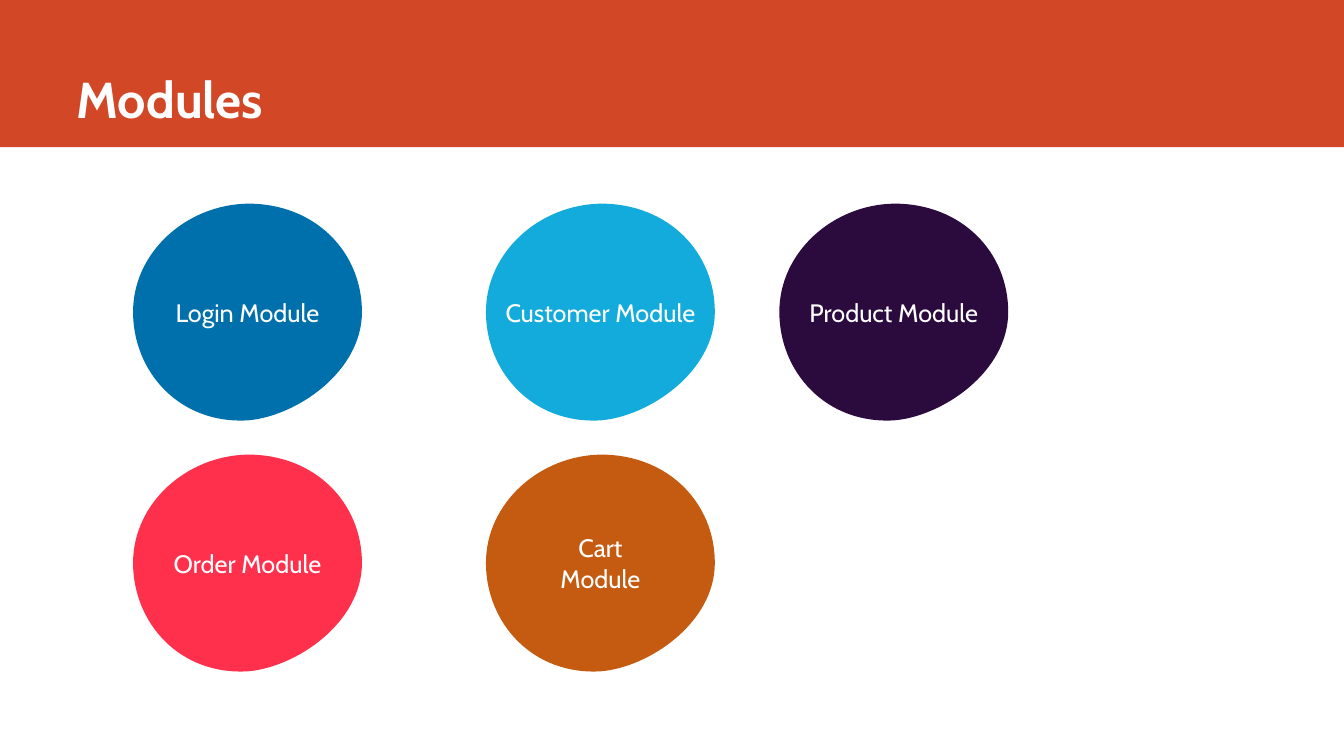
from pptx import Presentation
from pptx.dml.color import RGBColor
from pptx.enum import shapes, text
from pptx.oxml import ns
from pptx.util import Inches, Pt
from lxml import etree

FONT = "Cabin"
WHITE = "FFFFFF"
BLOB_SIZE = (2.27, 2.15)
COLUMNS = (1.32, 4.82, 7.73)
ROWS = (2.02, 4.51)

# Blob outline in inches from its top left corner: start, then cubic curves.
BLOB_START = (0, 1.07)
BLOB_CURVES = (
    ((0, 0.48), (0.53, 0.01), (1.14, 0)),
    ((1.81, 0), (2.27, 0.48), (2.27, 1.07)),
    ((2.27, 1.66), (1.62, 2.1), (1.14, 2.14)),
    ((0.46, 2.18), (0, 1.66), BLOB_START),
)

# Label, fill, column, row
MODULES = (
    ("Login Module", "0070AD", 0, 0),
    ("Customer Module", "12ABDB", 1, 0),
    ("Product Module", "2B0A3D", 2, 0),
    ("Order Module", "FF304C", 0, 1),
    ("Cart\nModule", "C55A11", 1, 1),
)


def color(value):
    """Turn a hex string into a colour."""
    return RGBColor.from_string(value)


def paint(shape, fill):
    """Give a shape a plain fill without line or shadow."""
    shape.shadow.inherit = False
    shape.fill.solid()
    shape.fill.fore_color.rgb = color(fill)
    shape.line.fill.background()


def write(shape, words, size, align, anchor, bold=False):
    """Put white text into a shape."""
    frame = shape.text_frame
    frame.text = words
    frame.word_wrap = True
    frame.auto_size = text.MSO_AUTO_SIZE.NONE
    frame.vertical_anchor = anchor
    for para in frame.paragraphs:
        para.alignment = align
        para.font.name = FONT
        para.font.size = Pt(size)
        para.font.bold = bold
        para.font.color.rgb = color(WHITE)


def add_header(page, box, words):
    """Draw the title band in the box and set the title on it."""
    left, top, width, height = box
    band = page.shapes.add_shape(shapes.MSO_SHAPE.RECTANGLE, *map(Inches, box))
    paint(band, "D24726")
    title = page.shapes.title
    title._element.addprevious(band._element)
    title.left, title.top = Inches(left + 0.66), Inches(top)
    title.width, title.height = Inches(width - 1.57), Inches(height - 0.13)
    write(title, words, 36, text.PP_ALIGN.LEFT, text.MSO_ANCHOR.BOTTOM, bold=True)


def bend(blob):
    """Turn the straight sides of a blob into its cubic curves."""
    sides = list(blob._element.iter(ns.qn("a:lnTo")))
    for side, curve in zip(sides, BLOB_CURVES):
        bow = etree.Element(ns.qn("a:cubicBezTo"))
        for x, y in curve:
            etree.SubElement(bow, ns.qn("a:pt"), x=str(Inches(x)), y=str(Inches(y)))
        side.getparent().replace(side, bow)


def add_module(page, box, label, fill):
    """Draw one labelled blob that fills the box."""
    left, top, width, height = map(Inches, box)
    corners = [(Inches(x), Inches(y)) for *_, (x, y) in BLOB_CURVES]
    builder = page.shapes.build_freeform(*corners[-1])
    builder.add_line_segments(corners, close=True)
    blob = builder.convert_to_shape()
    bend(blob)
    blob.left, blob.top, blob.width, blob.height = left, top, width, height
    paint(blob, fill)
    write(blob, label, 18, text.PP_ALIGN.CENTER, text.MSO_ANCHOR.MIDDLE)


def build_modules_slide(deck):
    """Add the slide with a header and the grid of modules."""
    page = deck.slides.add_slide(deck.slide_layouts[5])
    add_header(page, (0, 0, 13.33, 1.46), "Modules")
    for label, fill, column, row in MODULES:
        add_module(page, (COLUMNS[column], ROWS[row], *BLOB_SIZE), label, fill)


deck = Presentation()
deck.slide_width, deck.slide_height = Inches(13.33), Inches(7.5)
build_modules_slide(deck)
deck.save("out.pptx")
